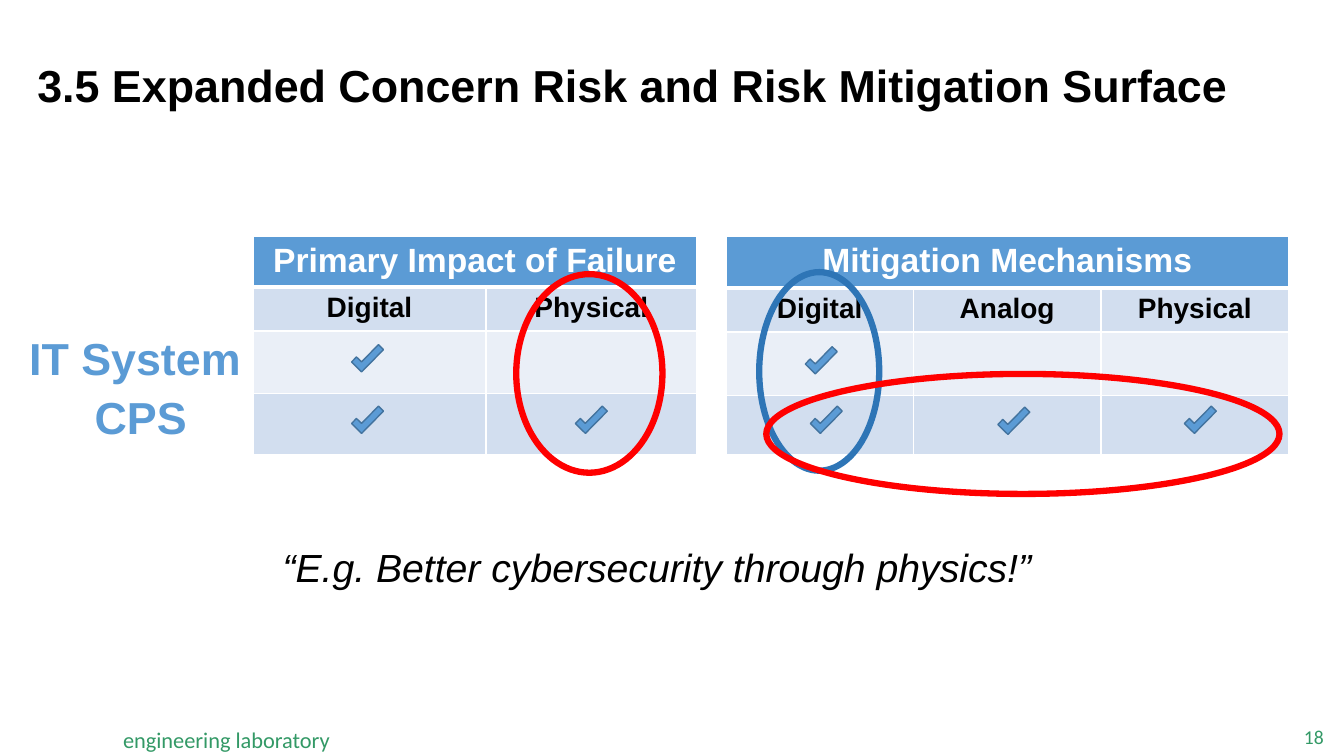
from pptx import Presentation
from pptx.dml.color import RGBColor
from pptx.enum.shapes import MSO_SHAPE
from pptx.enum.text import MSO_ANCHOR, MSO_AUTO_SIZE, PP_ALIGN
from pptx.oxml import parse_xml
from pptx.oxml.ns import nsdecls
from pptx.util import Inches, Pt


def color(value):
    return RGBColor.from_string(value)


def write(frame, text, size, ink, align=PP_ALIGN.LEFT, font="Arial", bold=False, italic=False):
    frame.text = text
    para = frame.paragraphs[0]
    para.alignment = align
    span = para.runs[0]
    span.font.name = font
    span.font.size = Pt(size)
    span.font.bold = bold
    span.font.italic = italic
    span.font.color.rgb = color(ink)


BLUE, RED, GREEN = "5B9BD5", "FF0000", "339966"
ROW_FILLS = [BLUE, "D2DEEF", "EAEFF7", "D2DEEF"]

deck = Presentation()
deck.slide_width = Inches(13.33)
deck.slide_height = Inches(7.5)
page = deck.slides.add_slide(deck.slide_layouts[5])

# Title
title = page.shapes.title
title.left, title.top = Inches(0.27), Inches(0.34)
title.width, title.height = Inches(12.5), Inches(1.07)
write(title.text_frame, "3.5 Expanded Concern Risk and Risk Mitigation Surface", 32, "000000", bold=True)
title.text_frame.auto_size = MSO_AUTO_SIZE.NONE
title.text_frame.vertical_anchor = MSO_ANCHOR.MIDDLE
title.text_frame.paragraphs[0].line_spacing = 0.9

# Row labels
for label, left, top, width in [("IT System", 0.19, 3.23, 2.32), ("CPS", 0.84, 3.82, 1.25)]:
    box = page.shapes.add_textbox(Inches(left), Inches(top), Inches(width), Inches(0.64))
    box.text_frame.word_wrap = False
    write(box.text_frame, label, 32, BLUE, bold=True)

# Impact and mitigation tables
tables = [
    (2.51, "Primary Impact of Failure", ["Digital", "Physical"], [2.31, 2.09], [0.5, 0.43, 0.62, 0.61]),
    (7.2, "Mitigation Mechanisms", ["Digital", "Analog", "Physical"], [1.86] * 3, [0.51, 0.43, 0.63, 0.59]),
]
for left, heading, columns, widths, heights in tables:
    table = page.shapes.add_table(
        4, len(columns), Inches(left), Inches(2.35), Inches(sum(widths)), Inches(sum(heights))).table
    for column, width in zip(table.columns, widths):
        column.width = Inches(width)
    for r, height in enumerate(heights):
        table.rows[r].height = Inches(height)
        for c in range(len(columns)):
            cell = table.cell(r, c)
            # White borders, with a thick rule under the heading
            for side in "LRTB":
                thick = (r, side) in [(0, "B"), (1, "T")]
                cell._tc.get_or_add_tcPr().append(parse_xml(
                    f'<a:ln{side} {nsdecls("a")} w="{Pt(3 if thick else 1)}"><a:solidFill>'
                    f'<a:srgbClr val="FFFFFF"/></a:solidFill></a:ln{side}>'))
            cell.fill.solid()
            cell.fill.fore_color.rgb = color(ROW_FILLS[r])
    table.cell(0, 0).merge(table.cell(0, len(columns) - 1))
    write(table.cell(0, 0).text_frame, heading, 24, "FFFFFF", PP_ALIGN.CENTER, bold=True)
    for c, name in enumerate(columns):
        write(table.cell(1, c).text_frame, name, 20, "000000", PP_ALIGN.CENTER, bold=True)

# Check marks
checks = [(3.49, 3.46), (3.49, 4.07), (5.71, 4.07),
          (7.99, 3.48), (8.04, 4.07), (9.9, 4.08), (11.75, 4.07)]
for left, top in checks:
    check = page.shapes.add_shape(
        MSO_SHAPE.CORNER, Inches(left), Inches(top), Inches(0.31), Inches(0.14))
    check.rotation = 314.5
    check.shadow.inherit = False
    check.fill.solid()
    check.fill.fore_color.rgb = color(BLUE)
    check.line.color.rgb = color("43739E")
    check.line.width = Pt(1)

# Highlight rings
rings = [(7.53, 2.7, 1.19, 1.97, "2E75B6"), (7.6, 3.71, 5.09, 1.19, RED), (5.12, 2.72, 1.45, 1.97, RED)]
for left, top, width, height, ink in rings:
    ring = page.shapes.add_shape(
        MSO_SHAPE.OVAL, Inches(left), Inches(top), Inches(width), Inches(height))
    ring.shadow.inherit = False
    ring.fill.background()
    ring.line.color.rgb = color(ink)
    ring.line.width = Pt(4.5)

# Quote
quote = page.shapes.add_textbox(Inches(2.6), Inches(5.34), Inches(7.83), Inches(0.57))
quote.text_frame.word_wrap = True
write(quote.text_frame, "“E.g. Better cybersecurity through physics!”", 28, "000000",
      PP_ALIGN.CENTER, italic=True)

# Footer and page number
for text, left, top, width, height, size, align in [
        ("engineering laboratory", 1.22, 7.2, 2.08, 0.27, 16, PP_ALIGN.LEFT),
        ("18", 12.51, 7.18, 0.62, 0.26, 14, PP_ALIGN.RIGHT)]:
    box = page.shapes.add_textbox(Inches(left), Inches(top), Inches(width), Inches(height))
    frame = box.text_frame
    frame.margin_left = frame.margin_right = frame.margin_top = frame.margin_bottom = 0
    frame.word_wrap = True
    frame.vertical_anchor = MSO_ANCHOR.MIDDLE
    write(frame, text, size, GREEN, align, font="Calibri")

deck.save("out.pptx")
